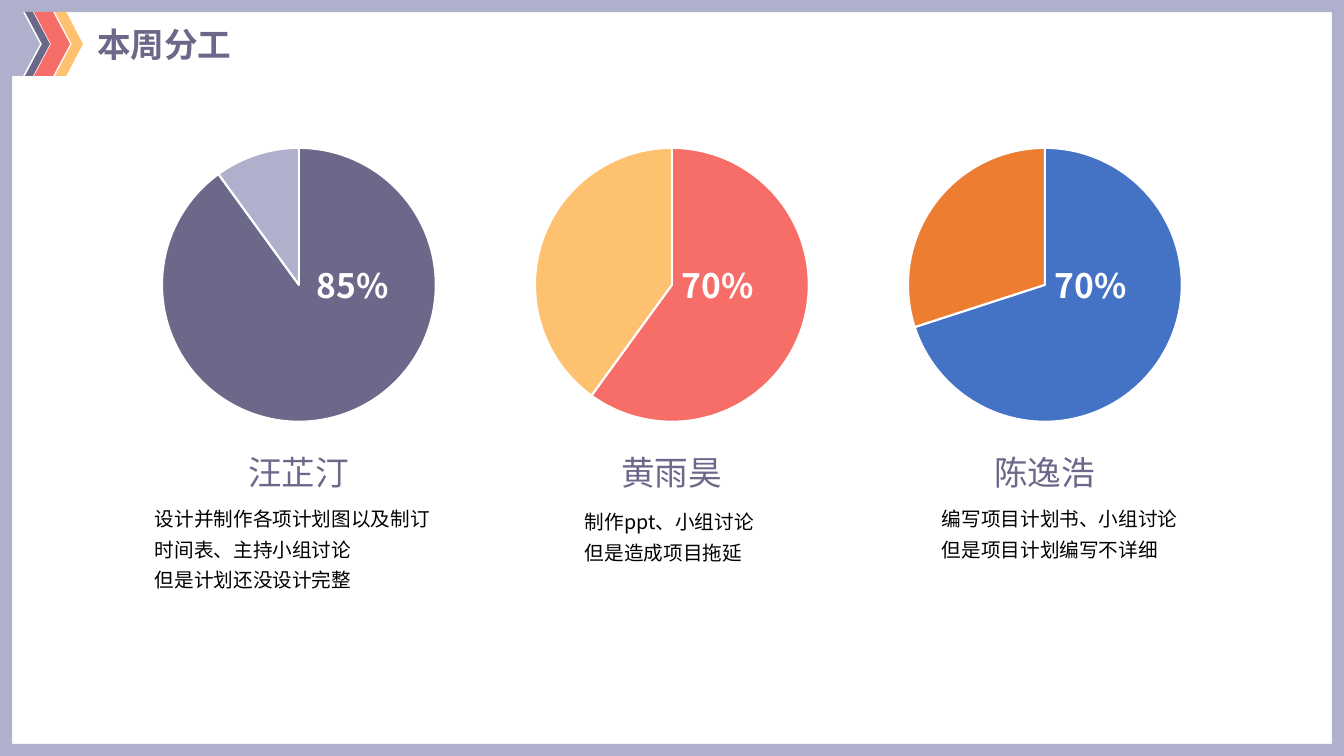
from lxml import etree
from pptx import Presentation
from pptx.chart.data import CategoryChartData
from pptx.dml.color import RGBColor
from pptx.enum.chart import XL_CHART_TYPE as ChartType
from pptx.enum.shapes import MSO_SHAPE as Preset
from pptx.enum.text import MSO_ANCHOR as Anchor, MSO_AUTO_SIZE as AutoSize, PP_ALIGN as Align
from pptx.oxml import parse_xml
from pptx.oxml.ns import nsdecls, qn
from pptx.util import Emu, Pt

PX = 914400 / 100.8
FONT = "Noto Sans CJK SC"
COLORS = {
    "plum": "6B6889", "lilac": "AFB0CB", "coral": "F76D68", "apricot": "FDC170",
    "blue": "4472C4", "orange": "ED7D31", "white": "FFFFFF", "black": "000000",
}


def px(*lengths):
    return [Emu(round(length * PX)) for length in lengths]


def write(shape, box, lines, size, color, align=Align.LEFT, bold=False, spacing=None):
    """Place a text shape at box and fill it with one paragraph per line."""
    shape.left, shape.top, shape.width, shape.height = px(*box)
    frame = shape.text_frame
    frame.text = "\n".join(lines)
    frame_format = {"word_wrap": True, "auto_size": AutoSize.SHAPE_TO_FIT_TEXT,
                    "vertical_anchor": Anchor.TOP}
    for name, value in frame_format.items():
        setattr(frame, name, value)
    for paragraph in frame.paragraphs:
        paragraph.alignment = align
        paragraph.line_spacing = spacing or 1.0
        paragraph.space_before = Pt(0)
        for run in paragraph.runs:
            for name, value in {"name": FONT, "size": Pt(size), "bold": bold}.items():
                setattr(run.font, name, value)
            run.font.color.rgb = RGBColor.from_string(COLORS[color])
            east_asian = etree.SubElement(run.font._element, qn("a:ea"))
            east_asian.set("typeface", FONT)


presentation = Presentation()
presentation.slide_width, presentation.slide_height = px(1344, 756)
slide = presentation.slides.add_slide(presentation.slide_layouts[5])
shapes = slide.shapes

write(shapes.title, (87, 19, 197, 50), ["本周分工"], 24, "plum", Align.JUSTIFY, bold=True)

# Page frame and header arrows
decorations = []
for preset, box, adjustment, color in [
    (Preset.FRAME, (0, 0, 1344, 756), 0.016, "lilac"),
    (Preset.CHEVRON, (55, 12, 28, 64), 0.6, "apricot"),
    (Preset.CHEVRON, (25, 12, 25, 64), 0.68, "plum"),
    (Preset.CHEVRON, (34, 12, 36, 64), 0.47, "coral"),
]:
    shape = shapes.add_shape(preset, *px(*box))
    shape.adjustments[0] = adjustment
    decorations.append((shape, color))

builder = shapes.build_freeform(12, 12, scale=PX)
builder.add_line_segments([(12, 76), (23, 76), (40, 44), (23, 12)], close=True)
decorations.append((builder.convert_to_shape(), "lilac"))

for shape, color in decorations:
    shape.shadow.inherit = False
    shape.fill.solid()
    shape.fill.fore_color.rgb = RGBColor.from_string(COLORS[color])
    shape.line.fill.background()

# One column per member: pie, share, name, duties
COLUMN_STEP = 373
members = [
    ("汪芷汀", (90, 10), ("plum", "lilac"), "85%", 307, (145, 495, 307, 100),
     ["设计并制作各项计划图以及制订时间表、主持小组讨论", "但是计划还没设计完整"]),
    ("黄雨昊", (60, 40), ("coral", "apricot"), "70%", 672, (575, 498, 195, 69),
     ["制作ppt、小组讨论", "但是造成项目拖延"]),
    ("陈逸浩", (70, 30), ("blue", "orange"), "70%", 1045, (932, 495, 307, 69),
     ["编写项目计划书、小组讨论", "但是项目计划编写不详细"]),
]
PIE_LAYOUT = {"x": 0.055, "y": 0.046, "w": 0.893, "h": 0.904}

for column, (name, values, colors, share, share_left, duty_box, duties) in enumerate(members):
    offset = column * COLUMN_STEP
    data = CategoryChartData()
    data.categories = ["1", "2"]
    data.add_series("Series 1", values)
    chart = shapes.add_chart(ChartType.PIE, *px(145 + offset, 134, 307, 303), data).chart
    chart.has_legend = chart.has_title = False
    chart.font.name, chart.font.size = FONT, Pt(10)
    chart.font.color.rgb = RGBColor.from_string(COLORS["black"])
    plot = chart.plots[0]
    plot.vary_by_categories = True
    for index, color in enumerate(colors):
        slice_format = plot.series[0].points[index].format
        slice_format.fill.solid()
        slice_format.fill.fore_color.rgb = RGBColor.from_string(COLORS[color])
        slice_format.line.color.rgb = RGBColor.from_string(COLORS["white"])
        slice_format.line.width = Pt(1.5)

    plot_area = chart._chartSpace.find(".//" + qn("c:plotArea"))
    for layout in plot_area.findall(qn("c:layout")):
        plot_area.remove(layout)
    modes = '<c:layoutTarget val="inner"/><c:xMode val="edge"/><c:yMode val="edge"/>'
    sizes = "".join(f'<c:{key} val="{value}"/>' for key, value in PIE_LAYOUT.items())
    plot_area.insert(0, parse_xml(
        f'<c:layout {nsdecls("c")}><c:manualLayout>{modes}{sizes}</c:manualLayout></c:layout>'))

    for box, lines, size, color, text_format in [
        ((186 + offset, 447, 225, 50), [name], 24, "plum", {"align": Align.CENTER}),
        (duty_box, duties, 14, "black", {"spacing": 1.3}),
        ((share_left, 260, 119, 50), [share], 24, "white", {"bold": True}),
    ]:
        write(shapes.add_textbox(*px(*box)), box, lines, size, color, **text_format)

presentation.save("out.pptx")
